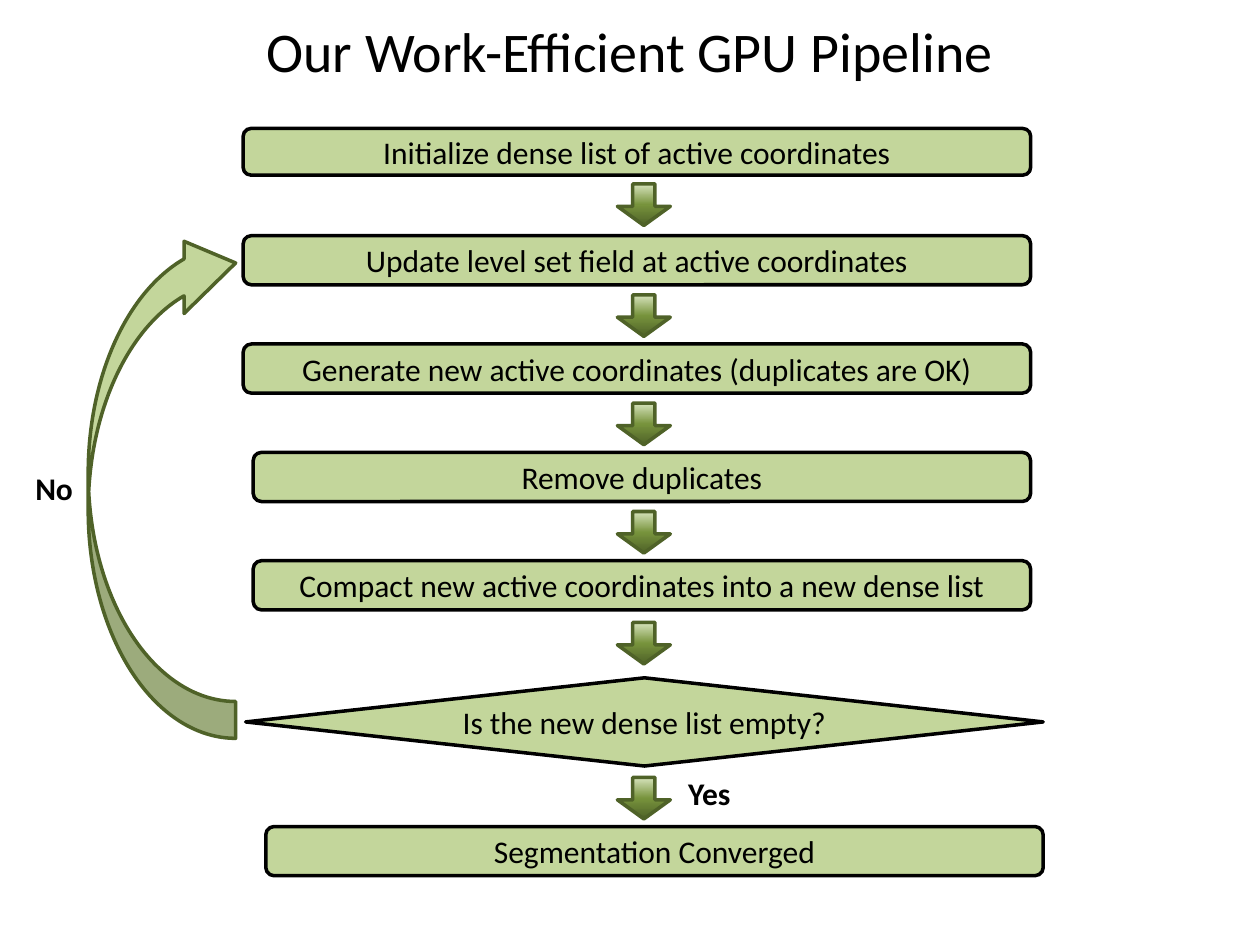
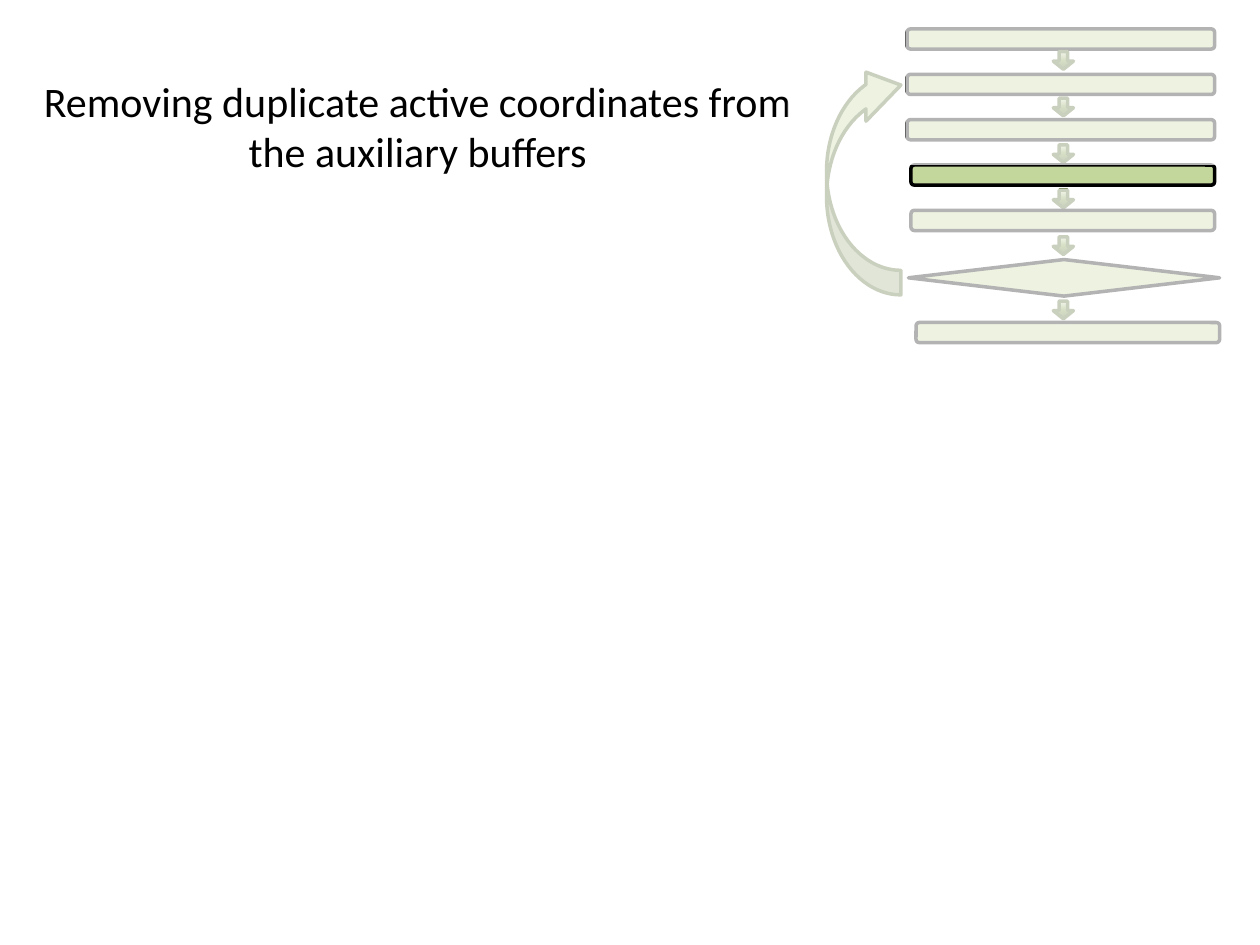
from dataclasses import dataclass

from pptx import Presentation
from pptx.dml.color import RGBColor
from pptx.enum.shapes import MSO_SHAPE
from pptx.enum.text import MSO_ANCHOR, PP_ALIGN
from pptx.oxml.ns import qn
from pptx.util import Pt
from lxml import etree
from copy import deepcopy

PX = 9144  # EMU in one px, 100 px to the inch
ROUNDED = MSO_SHAPE.ROUNDED_RECTANGLE
DECISION = MSO_SHAPE.FLOWCHART_DECISION
DOWN_ARROW = MSO_SHAPE.DOWN_ARROW
LOOP_ARROW = MSO_SHAPE.CURVED_LEFT_ARROW
RECTANGLE = MSO_SHAPE.RECTANGLE
TOP, MIDDLE = MSO_ANCHOR.TOP, MSO_ANCHOR.MIDDLE
CENTER = PP_ALIGN.CENTER


@dataclass(frozen=True)
class Theme:
    font: str = "Calibri"
    ink: str = "000000"
    paper: str = "FFFFFF"
    step: str = "C3D69B"
    edge: str = "4F6228"
    arrow_stops: tuple = ((0, "D7E4BD"), (0.5, "77933C"), (1, "4F6228"))
    title: int = 32
    heading: int = 24
    body: int = 18
    line: int = 2
    veil_opacity: int = 70


@dataclass(frozen=True)
class Step:
    text: str
    left: int
    right: int
    top: int
    height: int = 39
    kind: int = ROUNDED
    arrow_top: int = 0  # 0 when no arrow follows


STEPS = (
    Step("Initialize dense list of active coordinates", 193, 818, 102, height=37, arrow_top=146),
    Step("Update level set field at active coordinates", 193, 818, 187, arrow_top=234),
    Step("Generate new active coordinates (duplicates are OK)", 193, 818, 273, arrow_top=320),
    Step("Remove duplicates", 201, 818, 359, arrow_top=406),
    Step("Compact new active coordinates into a new dense list", 201, 818, 445, arrow_top=494),
    Step("Is the new dense list empty?", 195, 828, 538, height=70, kind=DECISION, arrow_top=617),
    Step("Segmentation Converged", 211, 828, 656),
)


def color(value):
    return RGBColor.from_string(value)


def write_text(frame, text, *, theme, size, bold=False, anchor=TOP):
    frame.word_wrap = True
    frame.vertical_anchor = anchor
    para = frame.paragraphs[0]
    para.alignment = CENTER
    span = para.add_run()
    span.text = text
    span.font.name = theme.font
    span.font.size = Pt(size)
    span.font.bold = bold
    span.font.color.rgb = color(theme.ink)


class Page:
    """Holds the theme and the slide being drawn."""

    def __init__(self, deck, theme):
        self.theme = theme
        self.slide = deck.slides.add_slide(deck.slide_layouts[6])

    def text(self, text, area, **style):
        box = self.slide.shapes.add_textbox(*(n * PX for n in area))
        write_text(box.text_frame, text, theme=self.theme, **style)

    def shape(self, kind, area, fill, line=None, adjust=()):
        shape = self.slide.shapes.add_shape(kind, *(n * PX for n in area))
        shape.shadow.inherit = False
        shape.fill.solid()
        shape.fill.fore_color.rgb = color(fill)
        for index, value in enumerate(adjust):
            shape.adjustments[index] = value
        if line:
            shape.line.color.rgb = color(line)
            shape.line.width = Pt(self.theme.line)
        else:
            shape.line.fill.background()
        return shape

    def step(self, kind, area, text=""):
        shape = self.shape(kind, area, self.theme.step, self.theme.ink)
        if text:
            write_text(shape.text_frame, text, theme=self.theme,
                       size=self.theme.body, anchor=MIDDLE)

    def down_arrow(self, area):
        arrow = self.shape(DOWN_ARROW, area, self.theme.step, self.theme.edge, (0.42, 0.46))
        arrow.fill.gradient()
        arrow.fill.gradient_angle = 270
        stops = arrow._element.spPr.find(".//" + qn("a:gsLst"))
        stops.append(deepcopy(stops[0]))
        for stop, (position, tone) in zip(arrow.fill.gradient_stops, self.theme.arrow_stops):
            stop.position = position
            stop.color.rgb = color(tone)

    def loop_arrow(self, area, adjust):
        arrow = self.shape(LOOP_ARROW, area, self.theme.step, self.theme.edge, adjust)
        arrow.rotation = 180

    def veil(self, area):
        veil = self.shape(RECTANGLE, area, self.theme.paper)
        tone = veil._element.spPr.find(".//" + qn("a:srgbClr"))
        etree.SubElement(tone, qn("a:alpha"), val=str(self.theme.veil_opacity * 1000))

    def flow(self, left=193, top=102, scale_x=1, scale_y=1, labels=True):
        """Draws all steps, with the first step's corner at left, top."""
        def place(x, y, width, height):
            return (round(left + (x - 193) * scale_x), round(top + (y - 102) * scale_y),
                    round(width * scale_x), round(height * scale_y))

        for step in STEPS:
            area = place(step.left, step.top, step.right - step.left, step.height)
            self.step(step.kind, area, step.text if labels else "")
            if step.arrow_top:
                self.down_arrow(place(490, step.arrow_top, 42, 33))


def pipeline_slide(deck, theme):
    page = Page(deck, theme)
    page.text("Our Work-Efficient GPU Pipeline", (50, 0, 900, 79),
              size=theme.title, anchor=MIDDLE)
    page.flow()

    # Loop back to the update step, and the two answers
    page.loop_arrow((70, 180, 117, 406), (0.25, 0.49, 0.35))
    for answer, left, top in (("Yes", 528, 609), ("No", 8, 367)):
        page.text(answer, (left, top, 70, 39), size=theme.body, bold=True)


def duplicates_slide(deck, theme):
    page = Page(deck, theme)

    # Small pipeline in the corner
    page.flow(left=720, top=23, scale_x=0.39, scale_y=0.42, labels=False)
    page.loop_arrow((656, 48, 59, 186), (0.33, 0.66, 0.47))

    page.text("Removing duplicate active coordinates from the auxiliary buffers",
              (23, 55, 617, 88), size=theme.heading)

    # Veils fade every step but the current one
    for area in ((717, 150, 259, 131), (719, 16, 259, 115), (625, 55, 92, 188)):
        page.veil(area)


def main():
    deck = Presentation()
    deck.slide_width, deck.slide_height = 1000 * PX, 750 * PX
    theme = Theme()
    pipeline_slide(deck, theme)
    duplicates_slide(deck, theme)
    deck.save("out.pptx")


if __name__ == "__main__":
    main()
